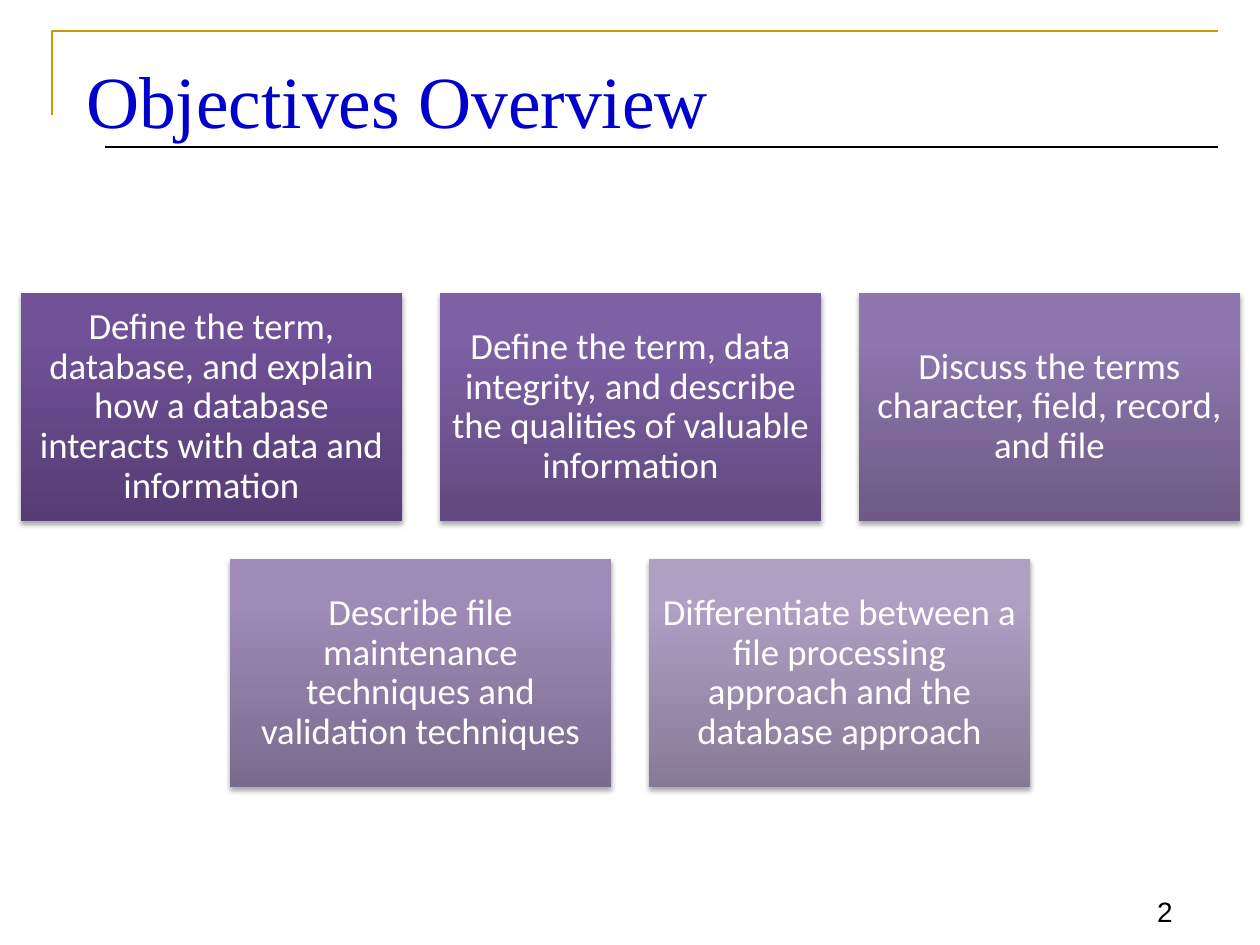
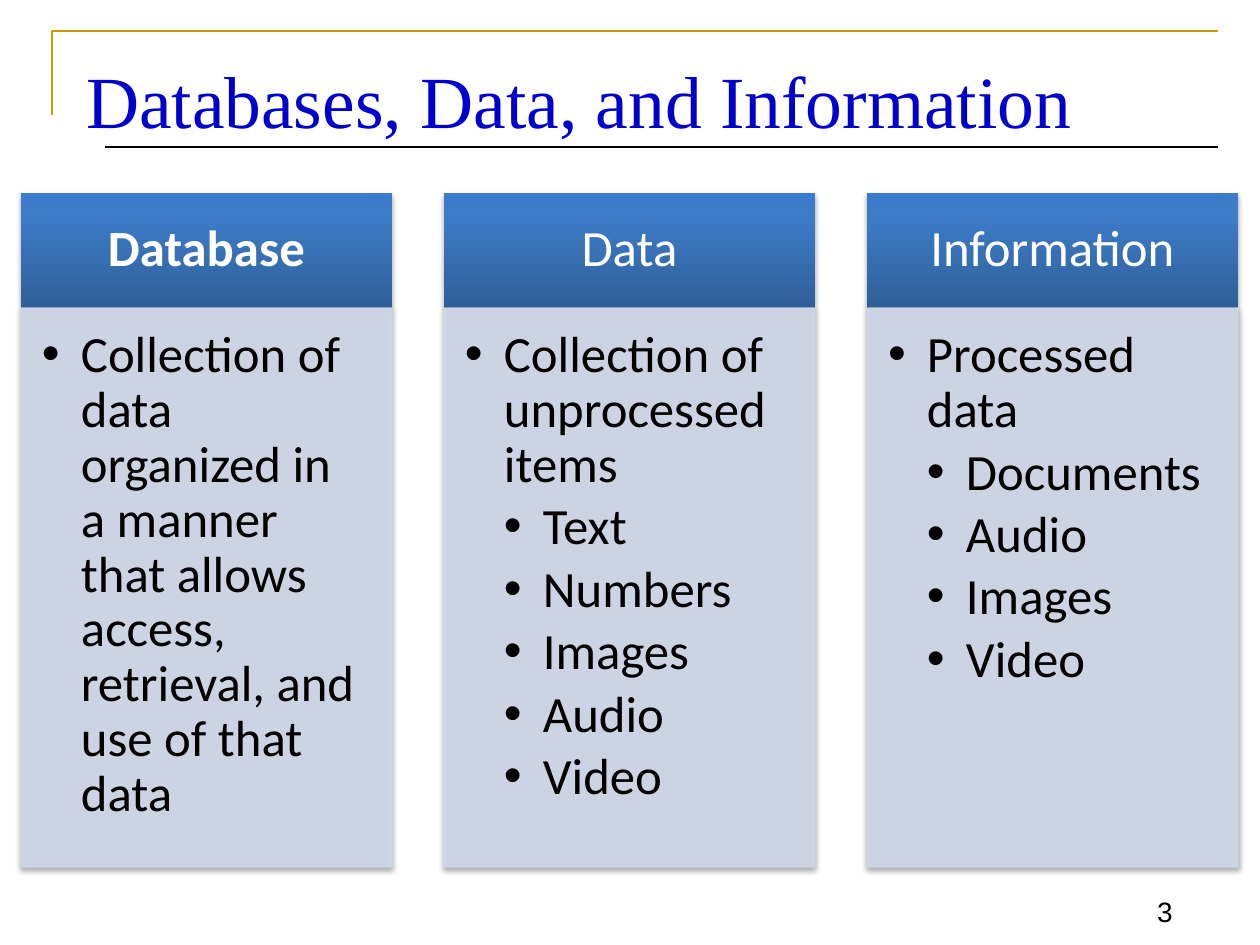
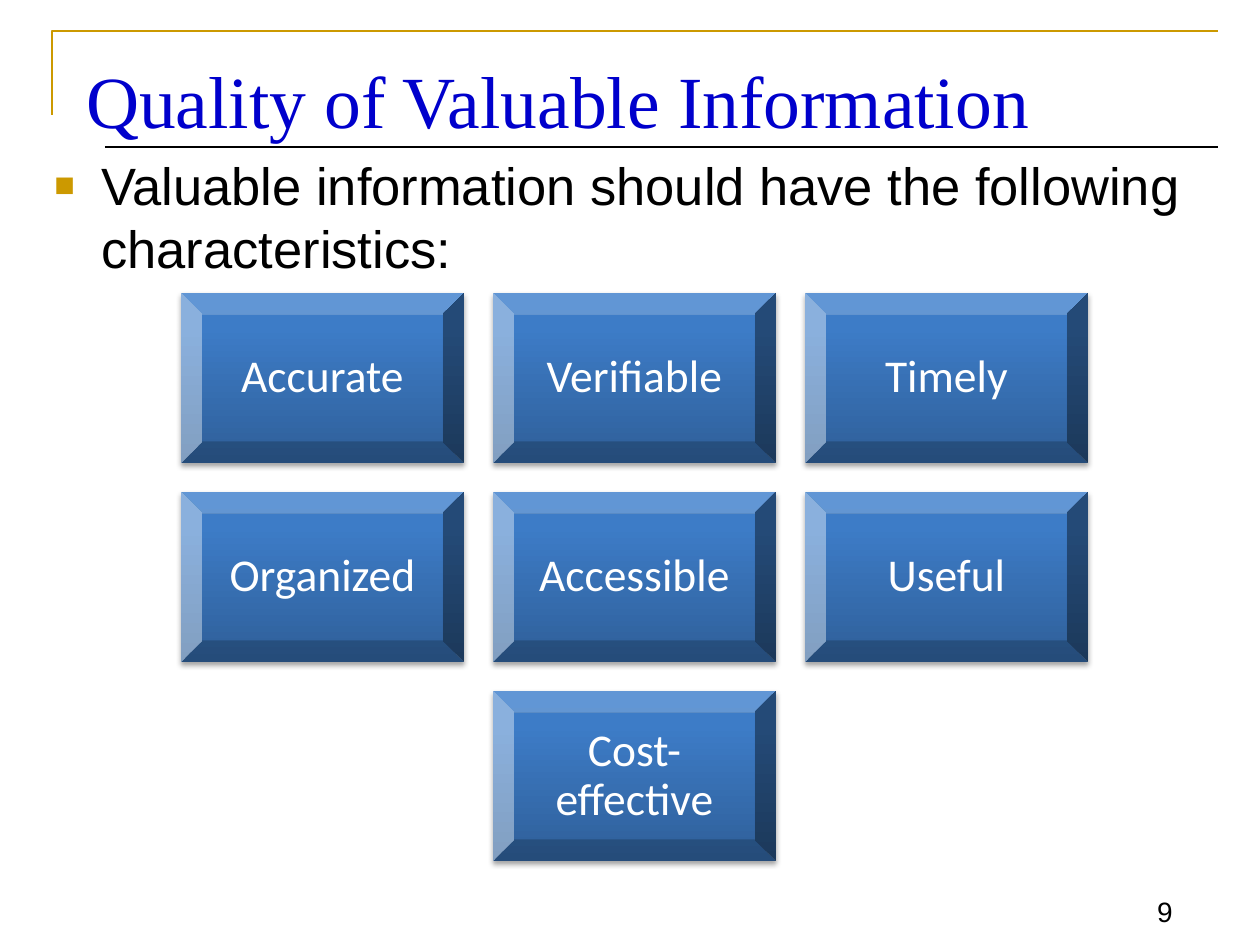
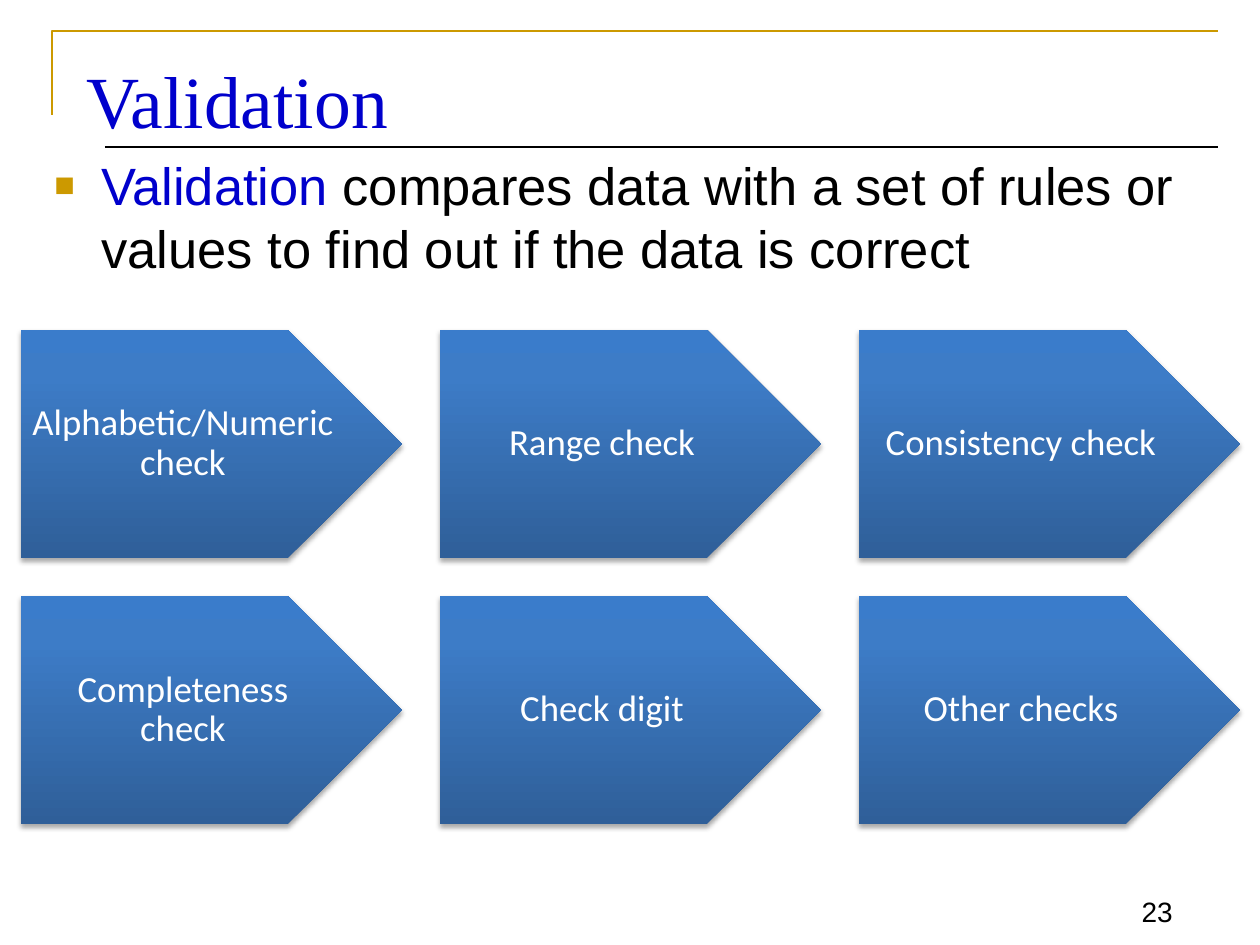
from dataclasses import dataclass, field
from typing import NamedTuple

from lxml.etree import SubElement
from pptx import Presentation
from pptx.dml.color import RGBColor
from pptx.enum.shapes import MSO_CONNECTOR as Connector
from pptx.enum.shapes import MSO_SHAPE as Preset
from pptx.enum.text import MSO_ANCHOR as Anchor
from pptx.enum.text import MSO_AUTO_SIZE as AutoSize
from pptx.enum.text import PP_ALIGN as Align
from pptx.oxml.ns import qn
from pptx.util import Emu, Pt

PX_PER_INCH = 126
SLIDE_SIZE = (1260, 945)
TITLE_ONLY_LAYOUT = 5


def px(length: int) -> Emu:
    return Emu(round(length * 914400 / PX_PER_INCH))


class Gradient(NamedTuple):
    """Colours from the bottom edge (0 %), at 80 % and at the top (100 %)."""
    bottom: str
    upper: str
    top: str


@dataclass(frozen=True)
class Theme:
    title_font: str = "Times New Roman"
    body_font: str = "Arial"
    diagram_font: str = "Calibri"
    title_size: int = 42
    lead_size: int = 30
    column_size: int = 29
    bevel_size: int = 26
    card_size: int = 21
    number_size: int = 16
    accent: str = "0000CC"
    gold: str = "CC9900"
    black: str = "000000"
    white: str = "FFFFFF"
    panel: str = "D0D8E8"
    panel_opacity: int = 90
    blue: Gradient = Gradient("2F5F99", "3D7CC7", "3A7CCB")
    purples: tuple[Gradient, ...] = (
        Gradient("563D74", "705097", "704F99"),
        Gradient("614A7F", "7E60A5", "7F60A7"),
        Gradient("6D5B86", "8E76AE", "8E75B0"),
        Gradient("796B8E", "9E8BB8", "9E8BBA"),
        Gradient("867B96", "AE9FC3", "AE9FC4"),
    )


THEME = Theme()


class Box(NamedTuple):
    left: int
    top: int
    width: int
    height: int

    def emu(self) -> tuple[Emu, ...]:
        return tuple(px(length) for length in self)


class Insets(NamedTuple):
    left: int
    top: int
    right: int
    bottom: int


class Span(NamedTuple):
    text: str
    color: str = THEME.black


class Column(NamedTuple):
    heading: str
    definition: str
    examples: tuple[str, ...] = ()
    bold: bool = False


@dataclass(frozen=True)
class Grid:
    """Equal cells in rows of three; a shorter last row is centred."""
    left: int
    top: int
    width: int
    height: int
    gap: int
    columns: int = 3

    def cells(self, count: int) -> list[Box]:
        boxes = []
        for index in range(count):
            row, column = divmod(index, self.columns)
            missing = max(0, (row + 1) * self.columns - count)
            shift = missing * (self.width + self.gap) // 2
            boxes.append(Box(
                self.left + shift + column * (self.width + self.gap),
                self.top + row * (self.height + self.gap),
                self.width, self.height))
        return boxes


@dataclass(frozen=True)
class CardStyle:
    preset: Preset
    size: int
    inset: int
    grid: Grid
    gradients: tuple[Gradient, ...] = field(default=(THEME.blue,))


OBJECTIVE_CARDS = CardStyle(Preset.RECTANGLE, THEME.card_size, 11,
                            Grid(21, 293, 381, 228, 38), THEME.purples)
QUALITY_CARDS = CardStyle(Preset.BEVEL, THEME.bevel_size, 14,
                          Grid(181, 293, 283, 170, 29))
CHECK_CARDS = CardStyle(Preset.PENTAGON, THEME.card_size, 11,
                        Grid(21, 330, 381, 228, 38))
COLUMN_HEADS = Grid(21, 193, 371, 115, 52)
PANEL_HEIGHT = 559
BULLET_STEP = 39

OBJECTIVES = (
    "Define the term, database, and explain how a database interacts "
    "with data and information",
    "Define the term, data integrity, and describe the qualities of "
    "valuable information",
    "Discuss the terms character, field, record, and file",
    "Describe file maintenance techniques and validation techniques",
    "Differentiate between a file processing approach and the database approach",
)
COLUMNS = (
    Column("Database", "Collection of data organized in a manner that allows "
           "access, retrieval, and use of that data", bold=True),
    Column("Data", "Collection of unprocessed items",
           ("Text", "Numbers", "Images", "Audio", "Video")),
    Column("Information", "Processed data",
           ("Documents", "Audio", "Images", "Video")),
)
QUALITIES = ("Accurate", "Verifiable", "Timely", "Organized", "Accessible",
             "Useful", "Cost-effective")
CHECKS = ("Alphabetic/Numeric check", "Range check", "Consistency check",
          "Completeness check", "Check digit", "Other checks")


def add_run(paragraph, text: str, font: str, size: int, color: str,
            bold: bool = False) -> None:
    run = paragraph.add_run()
    run.text = text
    run.font.name = font
    run.font.size = Pt(size)
    run.font.bold = bold
    run.font.color.rgb = RGBColor.from_string(color)


def add_bullet(paragraph, character: str, left: int, hanging: int,
               color: str = "", percent: int = 100) -> None:
    """Give the paragraph a bullet; call after its spacing has been set."""
    properties = paragraph._p.get_or_add_pPr()
    properties.set("marL", str(px(left)))
    properties.set("indent", str(-px(hanging)))
    if color:
        holder = SubElement(properties, qn("a:buClr"))
        SubElement(holder, qn("a:srgbClr"), val=color)
    SubElement(properties, qn("a:buSzPct"), val=str(percent * 1000))
    SubElement(properties, qn("a:buFont"), typeface=THEME.body_font)
    SubElement(properties, qn("a:buChar"), char=character)


def set_insets(frame, insets: Insets) -> None:
    frame.margin_left, frame.margin_top, frame.margin_right, frame.margin_bottom = (
        px(length) for length in insets)


def add_shadow(shape) -> None:
    shape.shadow.inherit = False
    effects = shape._element.spPr.find(qn("a:effectLst"))
    shadow = SubElement(effects, qn("a:outerShdw"), blurRad=str(Pt(3.1)),
                        dist=str(Pt(1.8)), dir="5400000", rotWithShape="0")
    color = SubElement(shadow, qn("a:srgbClr"), val=THEME.black)
    SubElement(color, qn("a:alpha"), val="35000")


def fill_gradient(shape, gradient: Gradient) -> None:
    shape.fill.gradient()
    shape.fill.gradient_angle = 90
    stops = shape._element.spPr.find(qn("a:gradFill")).find(qn("a:gsLst"))
    for stop in list(stops):
        stops.remove(stop)
    for position, color in zip((0, 80, 100), gradient):
        stop = SubElement(stops, qn("a:gs"), pos=str(position * 1000))
        SubElement(stop, qn("a:srgbClr"), val=color)


def add_card(slide, preset: Preset, box: Box, gradient: Gradient, text: str,
             size: int, insets: Insets, bold: bool = False) -> None:
    card = slide.shapes.add_shape(preset, *box.emu())
    fill_gradient(card, gradient)
    card.line.fill.background()
    add_shadow(card)
    frame = card.text_frame
    frame.word_wrap = True
    frame.vertical_anchor = Anchor.MIDDLE
    set_insets(frame, insets)
    paragraph = frame.paragraphs[0]
    paragraph.alignment = Align.CENTER
    paragraph.line_spacing = 0.9
    add_run(paragraph, text, THEME.diagram_font, size, THEME.white, bold)


def add_cards(slide, style: CardStyle, texts: tuple[str, ...]) -> None:
    for index, (box, text) in enumerate(zip(style.grid.cells(len(texts)), texts)):
        gradient = style.gradients[index % len(style.gradients)]
        add_card(slide, style.preset, box, gradient, text, style.size,
                 Insets(*[style.inset] * 4))


def add_panel(slide, box: Box, column: Column) -> None:
    panel = slide.shapes.add_shape(Preset.RECTANGLE, *box.emu())
    panel.line.width = Pt(0.75)
    for fill in (panel.fill, panel.line.fill):
        fill.solid()
        fill.fore_color.rgb = RGBColor.from_string(THEME.panel)
    for solid in panel._element.spPr.iter(qn("a:solidFill")):
        SubElement(solid[0], qn("a:alpha"), val=str(THEME.panel_opacity * 1000))
    add_shadow(panel)
    frame = panel.text_frame
    frame.word_wrap = True
    frame.vertical_anchor = Anchor.TOP
    set_insets(frame, Insets(21, 21, 29, 32))
    for index, text in enumerate((column.definition, *column.examples)):
        paragraph = frame.add_paragraph() if index else frame.paragraphs[0]
        level = 2 if index else 1
        paragraph.level = level
        paragraph.alignment = Align.LEFT
        paragraph.line_spacing = 0.9
        paragraph.space_after = Pt(THEME.column_size * 0.15)
        add_bullet(paragraph, "•", level * BULLET_STEP, BULLET_STEP)
        add_run(paragraph, text, THEME.diagram_font, THEME.column_size, THEME.black)


def add_column(slide, box: Box, column: Column) -> None:
    add_card(slide, Preset.RECTANGLE, box, THEME.blue, column.heading,
             THEME.column_size, Insets(29, 16, 29, 16), column.bold)
    add_panel(slide, Box(box.left, box.top + box.height, box.width, PANEL_HEIGHT),
              column)


def add_lead(slide, *spans: Span) -> None:
    """Add the bulleted sentence under the title."""
    frame = slide.shapes.add_textbox(*Box(42, 147, 1176, 158).emu()).text_frame
    frame.word_wrap = True
    paragraph = frame.paragraphs[0]
    paragraph.space_before = Pt(THEME.lead_size * 0.2)
    add_bullet(paragraph, "■", 47, 47, THEME.gold, 65)
    for span in spans:
        add_run(paragraph, span.text, THEME.body_font, THEME.lead_size, span.color)


def add_title_frame(slide) -> None:
    builder = slide.shapes.build_freeform(px(52), px(115))
    builder.add_line_segments([(px(52), px(31)), (px(1218), px(31))], close=False)
    corner = builder.convert_to_shape()
    corner.shadow.inherit = False
    corner.fill.background()
    corner.line.color.rgb = RGBColor.from_string(THEME.gold)
    corner.line.width = Pt(1.5)

    rule = slide.shapes.add_connector(Connector.STRAIGHT, px(105), px(147),
                                      px(1218), px(147))
    rule.line.color.rgb = RGBColor.from_string(THEME.black)
    rule.line.width = Pt(0.75)
    SubElement(rule._element.spPr, qn("a:effectLst"))


def add_number(slide, number: int) -> None:
    frame = slide.shapes.add_textbox(*Box(1102, 872, 83, 62).emu()).text_frame
    frame.word_wrap = True
    frame.vertical_anchor = Anchor.BOTTOM
    paragraph = frame.paragraphs[0]
    paragraph.alignment = Align.RIGHT
    add_run(paragraph, str(number), THEME.body_font, THEME.number_size, THEME.black)


def set_title(slide, text: str) -> None:
    title = slide.shapes.title
    title.left, title.top, title.width, title.height = Box(73, 42, 1144, 94).emu()
    frame = title.text_frame
    frame.auto_size = AutoSize.NONE
    frame.vertical_anchor = Anchor.TOP
    set_insets(frame, Insets(13, 13, 13, 6))
    paragraph = frame.paragraphs[0]
    paragraph.alignment = Align.LEFT
    add_run(paragraph, text, THEME.title_font, THEME.title_size, THEME.accent)


def add_slide(presentation, title: str, number: int):
    slide = presentation.slides.add_slide(
        presentation.slide_layouts[TITLE_ONLY_LAYOUT])
    add_title_frame(slide)
    set_title(slide, title)
    add_number(slide, number)
    return slide


def main() -> None:
    presentation = Presentation()
    presentation.slide_width, presentation.slide_height = map(px, SLIDE_SIZE)

    objectives = add_slide(presentation, "Objectives Overview", 2)
    add_cards(objectives, OBJECTIVE_CARDS, OBJECTIVES)

    definitions = add_slide(presentation, "Databases, Data, and Information", 3)
    for box, column in zip(COLUMN_HEADS.cells(len(COLUMNS)), COLUMNS):
        add_column(definitions, box, column)

    quality = add_slide(presentation, "Quality of Valuable Information", 9)
    add_lead(quality, Span("Valuable information should have the following "
                           "characteristics:"))
    add_cards(quality, QUALITY_CARDS, QUALITIES)

    validation = add_slide(presentation, "Validation", 23)
    add_lead(validation, Span("Validation", THEME.accent),
             Span(" compares data with a set of rules or values to find out "
                  "if the data is correct"))
    add_cards(validation, CHECK_CARDS, CHECKS)

    presentation.save("out.pptx")


if __name__ == "__main__":
    main()
